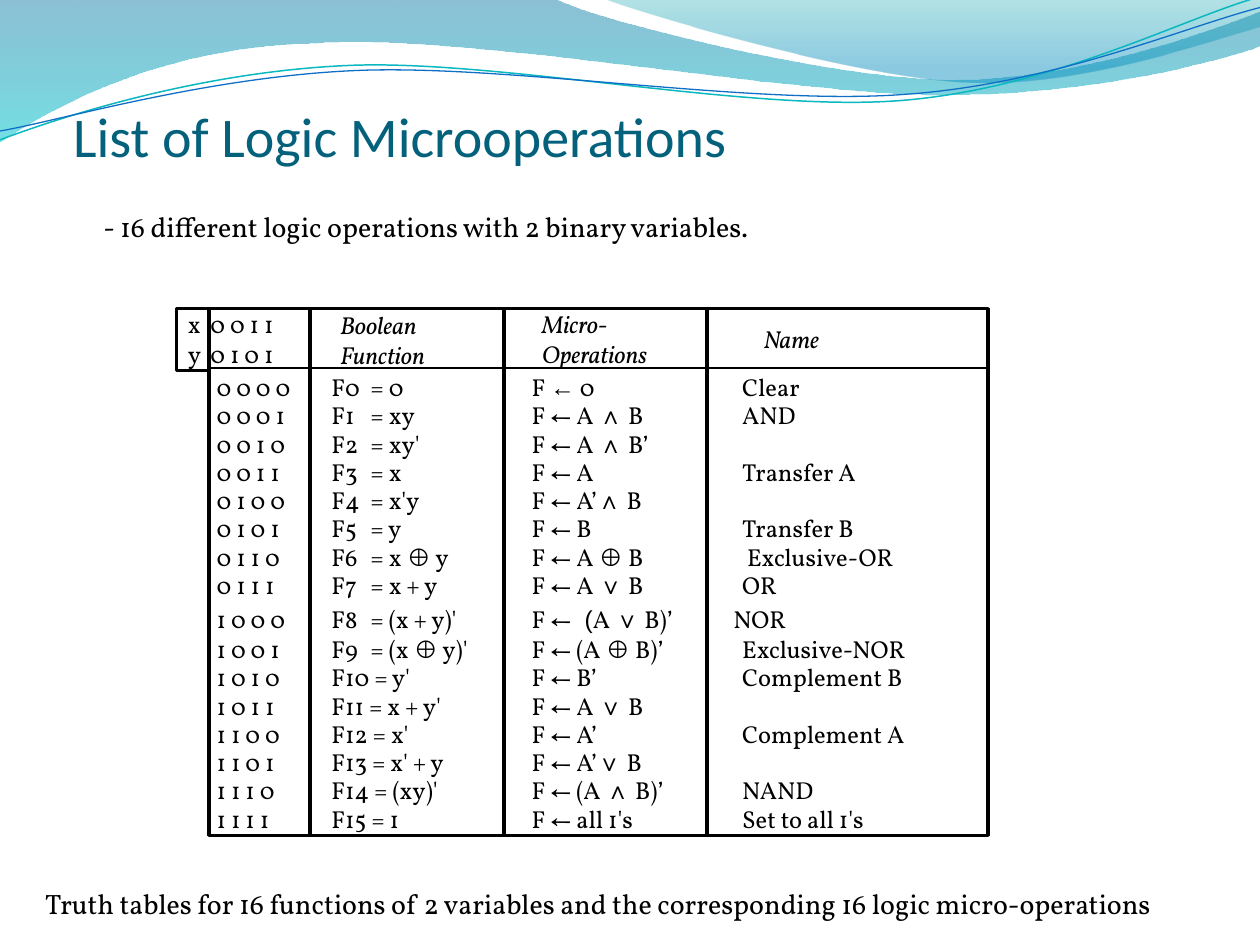
import itertools

import pptx
import pptx.dml.color
import pptx.enum.dml
import pptx.enum.shapes
import pptx.enum.text
import pptx.oxml
import pptx.oxml.ns
import pptx.util
from pptx.util import Inches

COLORS = {
    "text": "000000", "title": "04617B",
    "wave_blue": "0074A1", "wave_cyan": "00C6CF",
    "crest_teal": "00A1A9", "crest_blue": "008BBF",
    "line_teal": "0AB8BF", "line_blue": "0F6FC6",
}
BODY_FONT, SYMBOL_FONT, TITLE_FONT = "Vollkorn", "Arial", "Calibri"
SYMBOLS = "∧∨⊕"
INSETS = (0.07, 0.03, 0.07, 0.03)

# Function, micro-operation and name; the row number gives the truth table
OPERATIONS = [
    ("0", "F ← 0", "Clear"),
    ("xy", "F ← A ∧ B", "AND"),
    ("xy'", "F ← A ∧ B’", ""),
    ("x", "F ← A", "Transfer A"),
    ("x'y", "F ← A’∧ B", ""),
    ("y", "F ← B", "Transfer B"),
    ("x ⊕ y", "F ← A ⊕ B", " Exclusive-OR"),
    ("x + y", "F ← A ∨ B", "OR"),
    ("(x + y)'", "F ← (A ∨ B)’", "NOR"),
    ("(x ⊕ y)'", "F ← (A ⊕ B)’", "Exclusive-NOR"),
    ("y'", "F ← B’", "Complement B"),
    ("x + y'", "F ← A ∨ B", ""),
    ("x'", "F ← A’", "Complement A"),
    ("x' + y", "F ← A’∨ B", ""),
    ("(xy)'", "F ← (A ∧ B)’", "NAND"),
    ("1", "F ← all 1's", "Set to all 1's"),
]
CLEAR_ROW, NOR_ROW = 0, 8

# Waves: a start point, then points (2 numbers) and Bezier curves (6 numbers)
BACK_WAVE = [(0, 0), (4.4, -0.01), (4.76, 0.17, 6.64, 0.63, 7.58, 0.63),
             (8.53, 0.63, 9.58, 0.26, 10, 0.09), (10.01, 0.36),
             (9.83, 0.44, 8.7, 0.76, 7.46, 0.75), (6.22, 0.75, 3.82, 0.28, 2.57, 0.34),
             (1.29, 0.36, 0.46, 0.83, -0.01, 1.13), (0, 0)]
FRONT_WAVE = [(4.79, -0.01), (5.09, 0.11, 6.82, 0.62, 7.69, 0.65),
              (8.56, 0.69, 9.61, 0.32, 10, 0.21), (10, 0), (4.79, -0.01)]
TEAL_CURVE = [(0, 1.11), (0.48, 0.93, 1.58, 0.57, 2.77, 0.52),
              (3.95, 0.47, 5.93, 0.89, 7.13, 0.8), (8.33, 0.71, 9.38, 0.15, 9.98, -0.02)]
BLUE_CURVE = [(0, 1.04), (0.47, 0.96, 1.64, 0.61, 2.83, 0.56),
              (4.03, 0.51, 5.97, 0.84, 7.17, 0.75), (8.36, 0.67, 9.41, 0.21, 10, 0.06)]


def rgb(name):
    return pptx.dml.color.RGBColor.from_string(COLORS[name])


def set_line(shape, color, width):
    shape.line.color.rgb = rgb(color)
    shape.line.width = pptx.util.Pt(width)


def add_outline(slide, segments, closed):
    """Join the end points by lines, then bend the curved segments."""
    ends = [(Inches(segment[-2]), Inches(segment[-1])) for segment in segments]
    builder = slide.shapes.build_freeform(*ends[0], scale=1.0)
    builder.add_line_segments(ends[1:], close=closed)
    shape = builder.convert_to_shape()
    shape.shadow.inherit = False
    straight_lines = list(shape._element.spPr.iter(pptx.oxml.ns.qn("a:lnTo")))
    for straight_line, segment in zip(straight_lines, segments[1:]):
        if len(segment) == 6:
            points = "".join(
                f'<a:pt x="{Inches(x) - shape.left}" y="{Inches(y) - shape.top}"/>'
                for x, y in zip(segment[::2], segment[1::2]))
            curve = pptx.oxml.parse_xml(
                f'<a:cubicBezTo {pptx.oxml.ns.nsdecls("a")}>{points}</a:cubicBezTo>')
            straight_line.getparent().replace(straight_line, curve)
    return shape


def add_wave(slide, segments, stops):
    """Closed wave; stops hold position, colour and opacity in percent."""
    shape = add_outline(slide, segments, True)
    shape.line.fill.background()
    shape.fill.gradient()
    shape.fill.gradient_angle = 270
    for stop, (position, color, _) in zip(shape.fill.gradient_stops, stops):
        stop.position = position
        stop.color.rgb = rgb(color)
    colors = shape._element.spPr.iter(pptx.oxml.ns.qn("a:srgbClr"))
    for element, (_, _, opacity) in zip(colors, stops):
        element.append(pptx.oxml.parse_xml(
            f'<a:alpha {pptx.oxml.ns.nsdecls("a")} val="{opacity * 1000}"/>'))


def add_curve(slide, segments, color, width):
    shape = add_outline(slide, segments, False)
    shape.fill.background()
    set_line(shape, color, width)


def add_frame(slide, left, top, width, height):
    shape = slide.shapes.add_shape(
        pptx.enum.shapes.MSO_SHAPE.RECTANGLE,
        Inches(left), Inches(top), Inches(width), Inches(height))
    shape.shadow.inherit = False
    shape.fill.background()
    set_line(shape, "text", 2)


def add_rule(slide, start_x, start_y, end_x, end_y, width):
    line = slide.shapes.add_connector(
        pptx.enum.shapes.MSO_CONNECTOR.STRAIGHT,
        Inches(start_x), Inches(start_y), Inches(end_x), Inches(end_y))
    set_line(line, "text", width)
    line._element.spPr.append(
        pptx.oxml.parse_xml(f'<a:effectLst {pptx.oxml.ns.nsdecls("a")}/>'))


def add_run(paragraph, text, size, font=BODY_FONT, color="text", italic=False):
    run = paragraph.add_run()
    run.text = text
    run.font.size = pptx.util.Pt(size)
    run.font.name = font
    run.font.italic = italic
    run.font.color.rgb = rgb(color)


def set_tabs(paragraph, positions):
    stops = "".join(f'<a:tab pos="{Inches(position)}" algn="l"/>' for position in positions)
    paragraph._p.get_or_add_pPr().append(pptx.oxml.parse_xml(
        f'<a:tabLst {pptx.oxml.ns.nsdecls("a")}>{stops}</a:tabLst>'))


def add_text_frame(slide, left, top, width, height, insets=INSETS, wrap=True):
    box = slide.shapes.add_textbox(Inches(left), Inches(top), Inches(width), Inches(height))
    frame = box.text_frame
    frame.word_wrap = wrap
    frame.margin_left, frame.margin_top, frame.margin_right, frame.margin_bottom = (
        Inches(inset) for inset in insets)
    return frame


def add_text(slide, place, lines, size, spacing=1.0, tabs=(), wrap=True, insets=INSETS, **style):
    frame = add_text_frame(slide, *place, insets=insets, wrap=wrap)
    for index, text in enumerate(lines):
        paragraph = frame.add_paragraph() if index else frame.paragraphs[0]
        paragraph.line_spacing = spacing
        if tabs:
            set_tabs(paragraph, tabs)
        add_run(paragraph, text, size, **style)
    return frame


def add_operations(slide):
    frame = add_text_frame(slide, 1, 2.92, 6.84, 3.93, insets=(0.72, 0.05, 0.1, 0.05))
    for number, (function, operation, name) in enumerate(OPERATIONS):
        paragraph = frame.paragraphs[0] if number == 0 else frame.add_paragraph()
        paragraph.line_spacing = 0.96
        equals_tab = [1.22] if number < 10 else []
        set_tabs(paragraph, [0.91, *equals_tab, 2.5, 4.1 if number == NOR_ROW else 4.17])
        label = f"F{number}" + ("\t" if equals_tab else " ") + f"= {function}"
        cells = [" ".join(f"{number:04b}"), label, operation]
        text = "\t".join(cells + [name] if name else cells)
        symbols = SYMBOLS + "←" if number == CLEAR_ROW else SYMBOLS
        for is_symbol, letters in itertools.groupby(text, lambda letter: letter in symbols):
            part = "".join(letters)
            before, arrow, after = part.partition("← (")
            if number == NOR_ROW and arrow:
                # A wider gap follows this arrow
                add_run(paragraph, before + "←", 14)
                add_run(paragraph, " ", 18)
                add_run(paragraph, " (", 14, font=SYMBOL_FONT)
                part = after
            add_run(paragraph, part, 14, font=SYMBOL_FONT if is_symbol else BODY_FONT)


def main():
    presentation = pptx.Presentation()
    presentation.slide_width, presentation.slide_height = Inches(10), Inches(7.5)
    slide = presentation.slides.add_slide(presentation.slide_layouts[6])

    # Wave decoration
    add_wave(slide, BACK_WAVE, [(0, "wave_blue", 45), (1, "wave_cyan", 55)])
    add_wave(slide, FRONT_WAVE, [(0, "crest_teal", 30), (0.8, "crest_blue", 45)])
    add_curve(slide, TEAL_CURVE, "line_teal", 0.85)
    add_curve(slide, BLUE_CURVE, "line_blue", 0.75)

    # Title, introduction and caption
    title = add_text(slide, (0.58, 0.86, 9.18, 0.48), ["List of Logic Microoperations"], 32,
                     insets=(0, 0.05, 0, 0), font=TITLE_FONT, color="title")
    title.vertical_anchor = pptx.enum.text.MSO_ANCHOR.BOTTOM
    add_text(slide, (0.75, 1.5, 7.55, 0.46),
             ["- 16 different logic operations with 2 binary variables."], 16, spacing=1.5)
    add_text(slide, (0.25, 7, 9.42, 0.32),
             [" Truth tables for 16 functions of 2 variables and the corresponding "
              "16 logic micro-operations"], 16, spacing=1.02)

    # Column headings
    for place, lines in [((2.63, 2.43, 0.95, 0.52), ["Boolean", "Function"]),
                         ((4.23, 2.42, 1.16, 0.52), ["Micro-", "Operations"]),
                         ((5.99, 2.54, 0.71, 0.28), ["Name"])]:
        add_text(slide, place, lines, 14, spacing=1.01, wrap=False, italic=True)
    add_text(slide, (1.42, 2.42, 0.89, 0.5), ["x\t0 0 1 1", "y\t0 1 0 1"], 14,
             spacing=1.01, tabs=[0.18])

    # Truth table with its frames and rules
    add_frame(slide, 1.66, 2.45, 6.18, 4.18)
    add_frame(slide, 1.4, 2.45, 0.26, 0.49)
    add_operations(slide)
    for column in (2.46, 4, 5.61):
        add_rule(slide, column, 2.44, column, 6.64, 2)
    add_rule(slide, 1.67, 2.92, 7.83, 2.92, 0.75)

    presentation.save("out.pptx")


if __name__ == "__main__":
    main()
